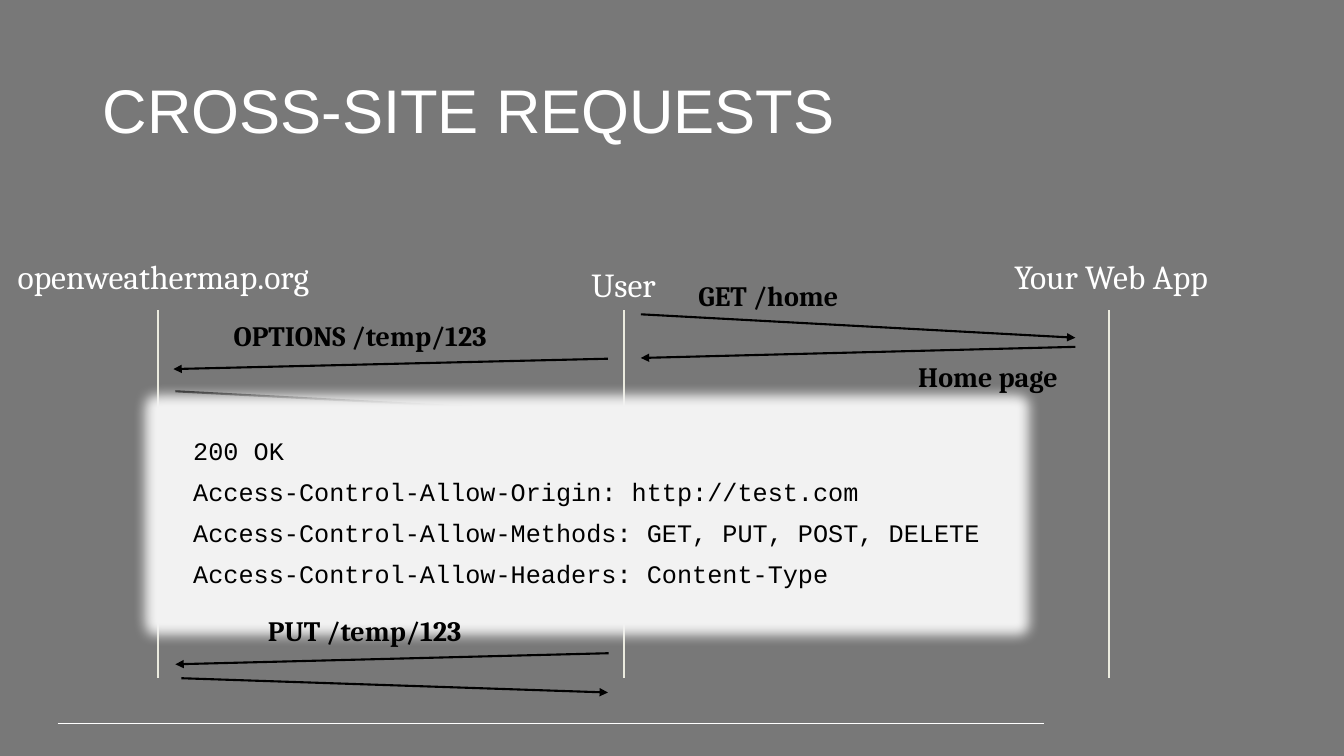
from dataclasses import dataclass

from lxml import etree
from pptx import Presentation
from pptx.dml.color import RGBColor
from pptx.enum.shapes import MSO_CONNECTOR, MSO_SHAPE
from pptx.enum.text import MSO_ANCHOR, MSO_AUTO_SIZE, PP_ALIGN
from pptx.oxml.ns import qn
from pptx.util import Cm, Pt

STRAIGHT = MSO_CONNECTOR.STRAIGHT
RECT = MSO_SHAPE.RECTANGLE
TOP, MIDDLE = MSO_ANCHOR.TOP, MSO_ANCHOR.MIDDLE
LEFT, CENTER = PP_ALIGN.LEFT, PP_ALIGN.CENTER
FIXED = MSO_AUTO_SIZE.NONE


@dataclass(frozen=True)
class Theme:
    back: str = "787878"
    light: str = "FFFFFF"
    dark: str = "000000"
    life: str = "EBEBDF"
    panel: str = "F2F2F2"
    head: str = "Arial"
    body: str = "Cambria"
    code: str = "Courier New"
    title_size: float = 44
    actor_size: float = 24
    label_size: float = 20
    code_size: float = 18
    thin: float = 0.75
    thick: float = 1.5
    glow: float = 18


@dataclass(frozen=True)
class Style:
    font: str
    size: float
    color: str
    align: PP_ALIGN = LEFT
    bold: bool = False


@dataclass(frozen=True)
class Label:
    text: str
    left: float
    top: float
    width: float
    height: float


@dataclass(frozen=True)
class Line:
    x1: float
    y1: float
    x2: float
    y2: float


THEME = Theme()
TITLE = Style(THEME.head, THEME.title_size, THEME.light)
ACTOR = Style(THEME.body, THEME.actor_size, THEME.light, CENTER)
LABEL = Style(THEME.body, THEME.label_size, THEME.dark, bold=True)
CODE = Style(THEME.code, THEME.code_size, THEME.dark)

RULE = Line(1.45, 18.24, 26.31, 18.24)
LIVES = [Line(x, 7.82, x, 17.09) for x in (3.99, 15.72, 27.94)]
ACTORS = [
    Label("openweathermap.org", -0.23, 6.43, 8.69, 1.17),
    Label("User", 13.49, 6.65, 4.45, 1.17),
    Label("Your Web App", 24.89, 6.43, 6.22, 1.17),
]
ARROWS = [
    Line(16.15, 7.92, 27.1, 8.51),
    Line(27.1, 8.74, 16.15, 9.02),
    Line(15.32, 9.04, 4.37, 9.3),
    Line(4.42, 9.86, 15.34, 10.44),
    Line(15.34, 16.46, 4.42, 16.74),
    Line(4.57, 17.09, 15.32, 17.45),
]
CALLS = [
    Label("GET /home", 17.35, 6.99, 6.38, 1.02),
    Label("Home page", 22.89, 9.02, 4.83, 1.02),
    Label("OPTIONS /temp/123", 5.64, 8, 8.15, 1.02),
    Label("PUT /temp/123", 6.5, 15.44, 7.57, 1.02),
]
REPLY = Label(
    "200 OK\n"
    "Access-Control-Allow-Origin: http://test.com\n"
    "Access-Control-Allow-Methods: GET, PUT, POST, DELETE\n"
    "Access-Control-Allow-Headers: Content-Type",
    4.62, 10.92, 20.35, 4.11,
)


def rgb(color: str) -> RGBColor:
    return RGBColor.from_string(color)


def write(shape, text: str, style: Style, anchor: MSO_ANCHOR = TOP) -> None:
    frame = shape.text_frame
    frame.text = text
    frame.word_wrap = True
    frame.auto_size = FIXED
    frame.vertical_anchor = anchor
    if style.align == LEFT:
        frame.margin_right = 0
    for i, para in enumerate(frame.paragraphs):
        para.alignment = style.align
        para.line_spacing = 0.9
        para.space_before = Pt(10 if i else 0)
        font = para.font
        font.name, font.size, font.bold = style.font, Pt(style.size), style.bold
        font.color.rgb = rgb(style.color)


def add_line(slide, line: Line, color: str, width: float, arrow: bool = False) -> None:
    link = slide.shapes.add_connector(
        STRAIGHT, Cm(line.x1), Cm(line.y1), Cm(line.x2), Cm(line.y2))
    link.line.color.rgb = rgb(color)
    link.line.width = Pt(width)
    props = link._element.spPr
    if arrow:
        etree.SubElement(props.find(qn("a:ln")), qn("a:tailEnd"), type="triangle")
    etree.SubElement(props, qn("a:effectLst"))


def place(item: Label) -> tuple:
    return Cm(item.left), Cm(item.top), Cm(item.width), Cm(item.height)


def add_label(slide, item: Label, style: Style) -> None:
    write(slide.shapes.add_textbox(*place(item)), item.text, style)


def add_panel(slide, item: Label) -> None:
    panel = slide.shapes.add_shape(RECT, *place(item))
    panel.shadow.inherit = False
    panel.fill.solid()
    panel.fill.fore_color.rgb = rgb(THEME.panel)
    panel.line.fill.background()
    effects = panel._element.spPr.find(qn("a:effectLst"))
    glow = etree.SubElement(effects, qn("a:glow"), rad=str(Pt(THEME.glow)))
    etree.SubElement(glow, qn("a:srgbClr"), val=THEME.panel)
    write(panel, item.text, CODE)


def main() -> None:
    deck = Presentation()
    deck.slide_width, deck.slide_height = Cm(33.87), Cm(19.05)
    slide = deck.slides.add_slide(deck.slide_layouts[5])
    slide.background.fill.solid()
    slide.background.fill.fore_color.rgb = rgb(THEME.back)

    # Title and footer rule
    title = slide.shapes.title
    title.left, title.top, title.width, title.height = (
        Cm(2.34), Cm(1.02), Cm(29.21), Cm(3.68))
    write(title, "CROSS-SITE REQUESTS", TITLE, MIDDLE)
    add_line(slide, RULE, THEME.light, THEME.thin)

    # Actors and their lifelines
    for actor in ACTORS:
        add_label(slide, actor, ACTOR)
    for life in LIVES:
        add_line(slide, life, THEME.life, THEME.thick)

    # Messages, with the reply panel above the arrows
    for arrow in ARROWS:
        add_line(slide, arrow, THEME.dark, THEME.thick, arrow=True)
    add_panel(slide, REPLY)
    for call in CALLS:
        add_label(slide, call, LABEL)

    deck.save("out.pptx")


if __name__ == "__main__":
    main()
